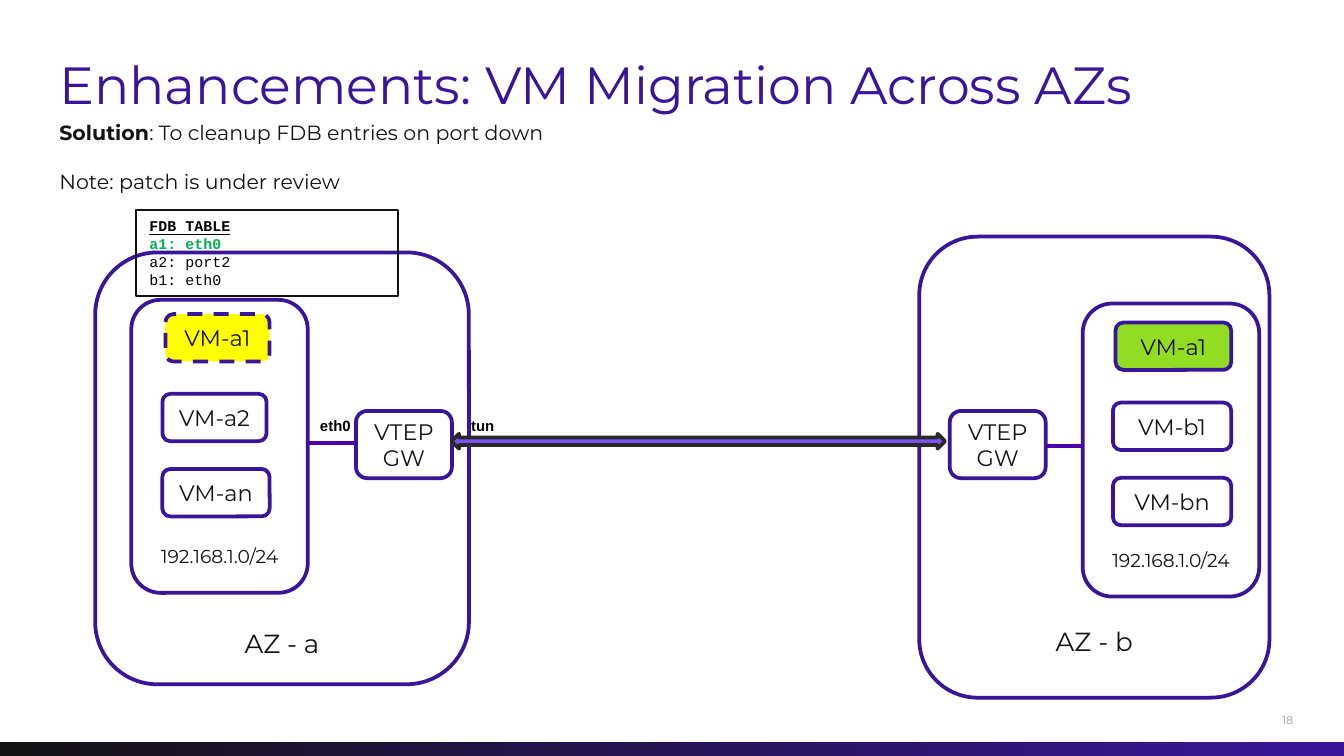
from dataclasses import dataclass

from lxml import etree
from pptx import Presentation
from pptx.dml.color import RGBColor
from pptx.enum.dml import MSO_LINE
from pptx.enum.shapes import MSO_CONNECTOR, MSO_SHAPE
from pptx.enum.text import MSO_ANCHOR, MSO_AUTO_SIZE, PP_ALIGN
from pptx.oxml.ns import qn
from pptx.util import Pt

ROUND = MSO_SHAPE.ROUNDED_RECTANGLE
RECT = MSO_SHAPE.RECTANGLE
ARROW = MSO_SHAPE.LEFT_RIGHT_ARROW
STRAIGHT = MSO_CONNECTOR.STRAIGHT
DASH = MSO_LINE.DASH
TOP, MIDDLE, BOTTOM = MSO_ANCHOR.TOP, MSO_ANCHOR.MIDDLE, MSO_ANCHOR.BOTTOM
LEFT, CENTER = PP_ALIGN.LEFT, PP_ALIGN.CENTER


@dataclass
class Theme:
    ink: str = "131313"
    violet: str = "391699"
    white: str = "FFFFFF"
    black: str = "000000"
    grey: str = "9C9C9C"
    yellow: str = "FFFF00"
    lime: str = "92DD23"
    green: str = "00B050"
    link: str = "4B00AA"
    tunnel: str = "7855FA"
    edge: str = "292929"
    sans: str = "Montserrat"
    mono: str = "Courier New"
    plain: str = "Arial"
    title: int = 28
    zone: int = 14
    node: int = 12
    body: int = 11
    net: int = 10
    small: int = 8
    page: int = 6


theme = Theme()


def write(para, text, size, tone=theme.ink, face=theme.sans, bold=False, under=False, align=LEFT):
    para.alignment = align
    run = para.add_run()
    run.text = text
    font = run.font
    font.size, font.name = Pt(size), face
    font.bold, font.underline = bold, under
    font.color.rgb = RGBColor.from_string(tone)


def draw(kind, left, top, width, height, fill=None, line=theme.violet, weight=2, pad=3, anchor=MIDDLE):
    shape = slide.shapes.add_shape(kind, Pt(left), Pt(top), Pt(width), Pt(height))
    shape.shadow.inherit = False
    if fill:
        shape.fill.solid()
        shape.fill.fore_color.rgb = RGBColor.from_string(fill)
    else:
        shape.fill.background()
    shape.line.color.rgb = RGBColor.from_string(line)
    shape.line.width = Pt(weight)
    frame = shape.text_frame
    frame.word_wrap = True
    frame.vertical_anchor = anchor
    frame.margin_left = frame.margin_right = Pt(3)
    frame.margin_top = frame.margin_bottom = Pt(pad)
    return shape


deck = Presentation()
deck.slide_width, deck.slide_height = Pt(720), Pt(405)
slide = deck.slides.add_slide(deck.slide_layouts[1])

bar = draw(RECT, 0, 397.4, 720, 7.6, theme.ink)
bar.line.fill.background()
bar.fill.gradient()
bar.fill.gradient_angle = 0
for stop, tone, spot in zip(bar.fill.gradient_stops, (theme.ink, theme.violet), (0, 1)):
    stop.color.rgb = RGBColor.from_string(tone)
    stop.position = spot

title, body = slide.shapes.title, slide.placeholders[1]
for holder, top, width, height in ((title, 28, 585, 35.3), (body, 64, 483, 43.2)):
    holder.left, holder.top = Pt(31.8), Pt(top)
    holder.width, holder.height = Pt(width), Pt(height)
    frame = holder.text_frame
    frame.auto_size = MSO_AUTO_SIZE.NONE
    frame.word_wrap = True
    frame.vertical_anchor = TOP
    frame.margin_left = frame.margin_right = frame.margin_top = frame.margin_bottom = 0

write(title.text_frame.paragraphs[0], "Enhancements: VM Migration Across AZs", theme.title, theme.violet)
first = body.text_frame.paragraphs[0]
note = body.text_frame.add_paragraph()
for para, gap in ((first, 0), (note, 13.4)):
    props = para._p.get_or_add_pPr()
    props.set("marL", "0")
    props.set("indent", "0")
    etree.SubElement(props, qn("a:buNone"))
    para.space_before = Pt(gap)
write(first, "Solution", theme.body, bold=True)
write(first, ": To cleanup FDB entries on port down", theme.body)
write(note, "Note: patch is under review", theme.body)

zones = (
    ("AZ - a", (51, 135.2, 200.2, 231.4), 4, (70.3, 160.6), 190.7, (
        ("VM-a1", 88.6, 168.3, 55.8, theme.yellow),
        ("VM-a2", 87, 211, 55.8, theme.white),
        ("VM-an", 87, 251.3, 57.5, theme.white))),
    ("AZ - b", (492.5, 126.8, 187.6, 247), 12.5, (580, 162.6), 508.8, (
        ("VM-a1", 597.6, 172.8, 62, theme.lime),
        ("VM-b1", 596.2, 215.7, 63.4, theme.white),
        ("VM-bn", 596.2, 256, 63.4, theme.white))),
)
for name, area, pad, spot, gate, nodes in zones:
    zone = draw(ROUND, *area, theme.white, pad=pad, anchor=BOTTOM)
    write(zone.text_frame.paragraphs[0], name, theme.zone, align=CENTER)
    net = draw(ROUND, *spot, 94.6, 157, theme.white, pad=9, anchor=BOTTOM)
    write(net.text_frame.paragraphs[0], "192.168.1.0/24", theme.net, align=CENTER)
    for label, left, top, width, fill in nodes:
        node = draw(ROUND, left, top, width, 25.4, fill)
        write(node.text_frame.paragraphs[0], label, theme.node, align=CENTER)
        if fill == theme.yellow:
            node.line.dash_style = DASH
    vtep = draw(ROUND, gate, 220.2, 51.4, 36, theme.white)
    write(vtep.text_frame.paragraphs[0], "VTEP GW", theme.node, align=CENTER)

draw(ARROW, 241.9, 232.4, 264.4, 8, theme.tunnel, theme.edge)

for start, end, level in ((164.9, 190.7, 237.3), (560.5, 580, 239)):
    link = slide.shapes.add_connector(STRAIGHT, Pt(start), Pt(level), Pt(end), Pt(level))
    link.line.color.rgb = RGBColor.from_string(theme.link)
    link.line.width = Pt(2)
    etree.SubElement(link._element.spPr, qn("a:effectLst"))

table = draw(RECT, 73, 112.4, 140.4, 46.2, line=theme.ink, weight=1, pad=3.6)
frame = table.text_frame
frame.margin_left = Pt(7.2)
rows = (
    ("FDB TABLE", theme.black, True, True),
    ("a1: eth0", theme.green, True, False),
    ("a2: port2", theme.black, False, False),
    ("b1: eth0", theme.black, False, False),
)
for index, (text, tone, bold, under) in enumerate(rows):
    para = frame.add_paragraph() if index else frame.paragraphs[0]
    para.line_spacing = Pt(9.6)
    write(para, text, theme.small, tone, theme.mono, bold, under)

labels = (
    ("eth0", 171.4, 223.9, theme.small, theme.black, theme.plain, True),
    ("tun", 252.4, 223.9, theme.small, theme.black, theme.plain, True),
    ("18", 686.9, 381.8, theme.page, theme.grey, theme.sans, False),
)
for text, left, top, size, tone, face, bold in labels:
    label = slide.shapes.add_textbox(Pt(left), Pt(top), Pt(24), Pt(8))
    frame = label.text_frame
    frame.word_wrap = False
    frame.vertical_anchor = MIDDLE
    frame.margin_left = frame.margin_right = frame.margin_top = frame.margin_bottom = 0
    write(frame.paragraphs[0], text, size, tone, face, bold)

deck.save("out.pptx")
